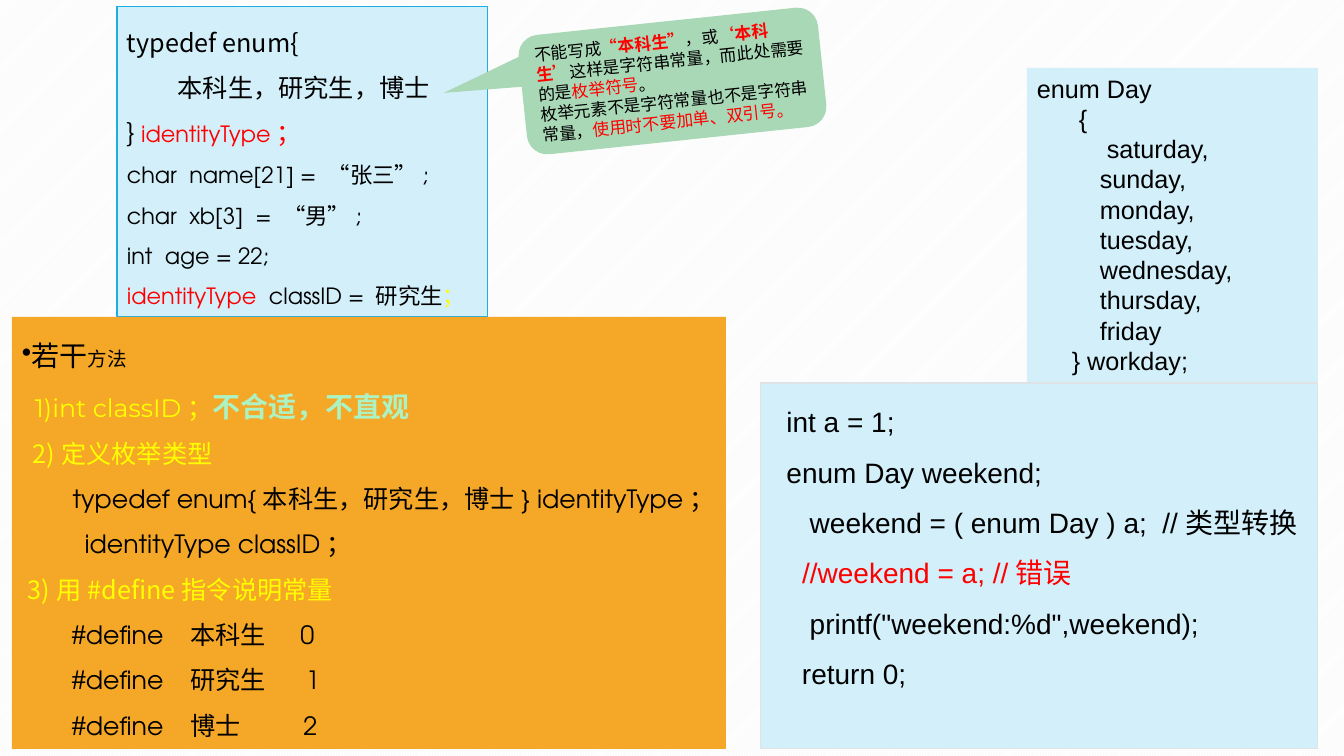
from lxml import etree
from pptx import Presentation
from pptx import util as u
from pptx.dml import color
from pptx.enum import dml, shapes, text
from pptx.oxml import ns

SCALE = 914400 / 100.8
SANS, ADVENTOR, MONTSERRAT, ARIAL, CALIBRI = (
    "Noto Sans CJK SC", "TeX Gyre Adventor", "Montserrat", "Arial", "Calibri")
BLACK, RED, YELLOW = "000000", "FF0000", "FFFF00"
PALE_BLUE = "D2EFFA"


def px(length):
    """Turn px into EMU."""
    return u.Emu(round(length * SCALE))


def rgb(value):
    """Turn a hex string into a colour."""
    return color.RGBColor.from_string(value)


def add_panel(slide, box, fill, line=None, kind=shapes.MSO_SHAPE.RECTANGLE):
    """Add a filled shape with top-left text."""
    shape = slide.shapes.add_shape(kind, *map(px, box))
    shape.shadow.inherit = False
    shape.fill.solid()
    shape.fill.fore_color.rgb = rgb(fill)
    if line:
        shape.line.color.rgb = rgb(line)
        shape.line.width = u.Pt(0.75)
    else:
        shape.line.fill.background()
    shape.text_frame.word_wrap = True
    shape.text_frame.vertical_anchor = text.MSO_ANCHOR.TOP
    return shape


def style_run(run, size, font, ink, bold=False):
    """Set size, fonts, colour and weight of a run."""
    run.font.size = u.Pt(size)
    run.font.bold = bold
    run.font.color.rgb = rgb(ink)
    run.font.name = font
    east_asian = etree.SubElement(run.font._element, ns.qn("a:ea"))
    east_asian.set("typeface", SANS)


def write(shape, lines, spacing=1.0, **base):
    """Write lines of runs, each a string or a (string, changes) pair."""
    frame = shape.text_frame
    for index, line in enumerate(lines):
        paragraph = frame.add_paragraph() if index else frame.paragraphs[0]
        paragraph.alignment = text.PP_ALIGN.LEFT
        paragraph.line_spacing = spacing
        for part in [line] if isinstance(line, str) else line:
            words, changes = (part, {}) if isinstance(part, str) else part
            run = paragraph.add_run()
            run.text = words
            style_run(run, **{**base, **changes})
    return frame.paragraphs


def indent(paragraph, left):
    """Indent a whole paragraph."""
    properties = paragraph._p.get_or_add_pPr()
    properties.set("marL", str(px(left)))
    properties.set("indent", "0")


def add_record_code(slide, box):
    """Add the enum type and the student variables."""
    large = {"size": 18, "font": SANS}
    red = {"ink": RED}
    write(add_panel(slide, box, PALE_BLUE, "1CADE4"), [
        [("typedef enum{", large)],
        [("         本科生，研究生，博士", large)],
        [("} ", large), ("identityType", red), ("；", {**large, **red})],
        "char  name[21] = “张三”;",
        "char  xb[3]  = “男”;",
        "int  age = 22;",
        [("identityType  ", red), "classID = 研究生", ("；", {"ink": YELLOW})],
    ], 1.5, size=16, font=ADVENTOR, ink=BLACK)


def add_callout(slide, box):
    """Add the tilted remark on enum constants."""
    shape = add_panel(slide, box, "A9D8B7",
                      kind=shapes.MSO_SHAPE.ROUNDED_RECTANGULAR_CALLOUT)
    shape.rotation = 354
    for index, value in enumerate((-0.76, -0.1, 0.17)):
        shape.adjustments[index] = value
    shape.text_frame.vertical_anchor = text.MSO_ANCHOR.MIDDLE
    shape.text_frame.margin_right = px(9)
    red, strong = {"ink": RED}, {"ink": RED, "bold": True}
    write(shape, [
        ["不能写成", ("“本科生”", strong), "，或", ("‘本科生’", strong),
         "这样是字符串常量，而此处需要的是", ("枚举符号", red), "。"],
        ["枚举元素不是字符常量也不是字符串常量，", ("使用时不要加单、双引号。", red)],
    ], size=12, font=SANS, ink=BLACK)


def add_methods(slide, box):
    """Add the list of ways to store the class."""
    heading = {"font": MONTSERRAT, "ink": YELLOW}
    constants = ["#define   本科生     0", "#define   研究生      1",
                 "#define   博士          2"]
    paragraphs = write(add_panel(slide, box, "F5A728"), [
        [("若干", {"size": 20, "font": SANS}), ("方法", {"size": 14, "font": SANS})],
        [("1)int classID", heading), ("；", {"font": CALIBRI, "ink": YELLOW}),
         ("不合适，不直观", {"size": 20, "font": SANS, "ink": "ACF2C2", "bold": True})],
        [("2)定义枚举类型", {"font": SANS, "ink": YELLOW})],
        [("         ", {"font": SANS}),
         "typedef enum{本科生，研究生，博士} identityType；"],
        "         identityType classID；",
        [("3)用#define指令说明常量", {"font": SANS, "ink": YELLOW})],
        *constants,
    ], 1.5, size=18, font=ADVENTOR, ink=BLACK)
    for paragraph, left in zip(paragraphs, (0, 13, 11, 0, 0, 6, 50, 50, 50)):
        indent(paragraph, left)
    bullet = etree.SubElement(paragraphs[0]._p.get_or_add_pPr(), ns.qn("a:buChar"))
    bullet.set("char", "•")


def add_day_enum(slide, box):
    """Add the enum of week days."""
    days = ["sunday", "monday", "tuesday", "wednesday", "thursday"]
    write(add_panel(slide, box, PALE_BLUE), [
        "enum Day", "      {", "          saturday,",
        *(f"         {day}," for day in days),
        "         friday", "     } workday;",
    ], size=18, font=ARIAL, ink=BLACK)


def add_conversion_code(slide, box):
    """Add the code that converts an int to the enum."""
    write(add_panel(slide, box, PALE_BLUE, "DFE3E5"), [
        "  int a = 1;",
        "  enum Day weekend;",
        "     weekend = ( enum Day ) a;  //类型转换",
        ["    ", ("//weekend = a; //错误", {"ink": RED})],
        "     printf(\"weekend:%d\",weekend);",
        "    return 0;",
    ], 1.5, size=20, font=ARIAL, ink=BLACK)


def main():
    """Build and save the slide."""
    presentation = Presentation()
    presentation.slide_width, presentation.slide_height = px(1344), px(756)
    slide = presentation.slides.add_slide(presentation.slide_layouts[6])
    background = slide.background.fill
    background.patterned()
    background.pattern = dml.MSO_PATTERN.LIGHT_UPWARD_DIAGONAL
    background.fore_color.rgb = rgb("F2F2F2")
    background.back_color.rgb = rgb("FFFFFF")
    add_record_code(slide, (117, 7, 371, 310))
    add_callout(slide, (522, 21, 301, 120))
    add_methods(slide, (12, 317, 714, 432))
    add_day_enum(slide, (1027, 68, 291, 315))
    add_conversion_code(slide, (761, 383, 557, 366))
    presentation.save("out.pptx")


if __name__ == "__main__":
    main()
